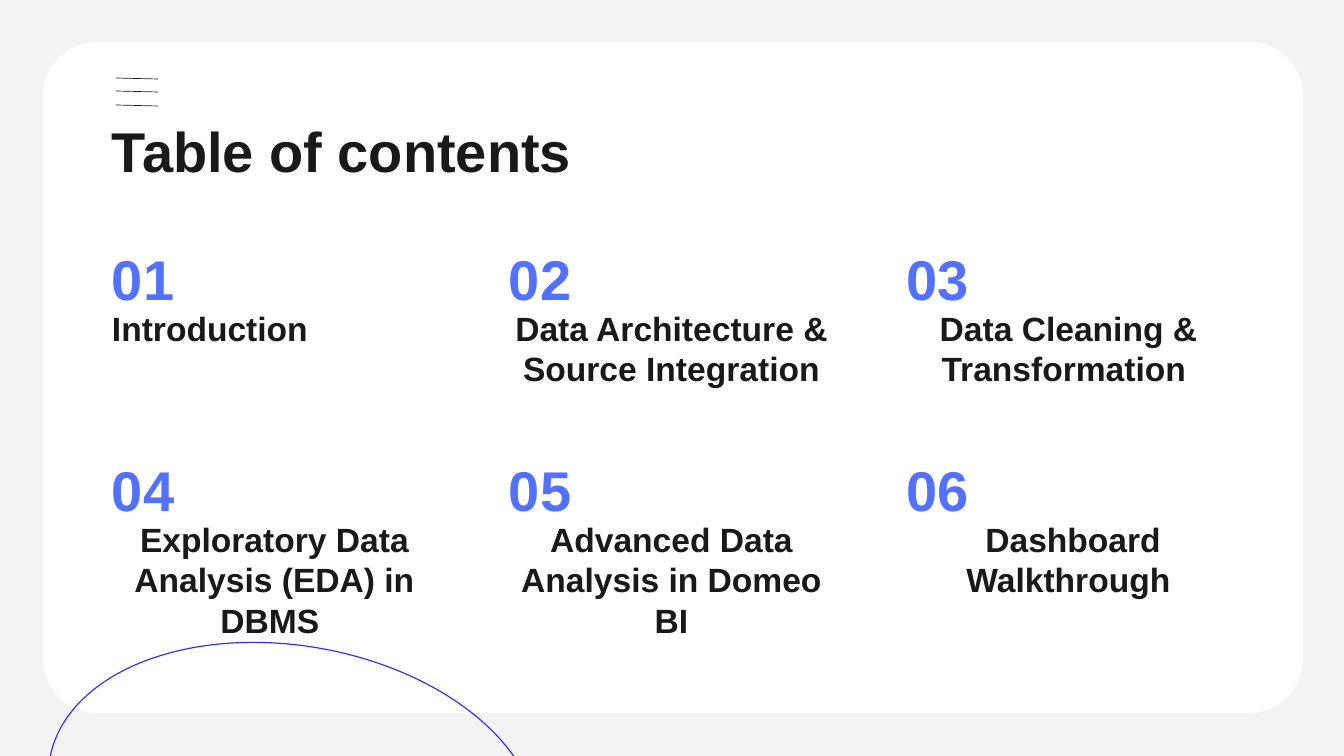
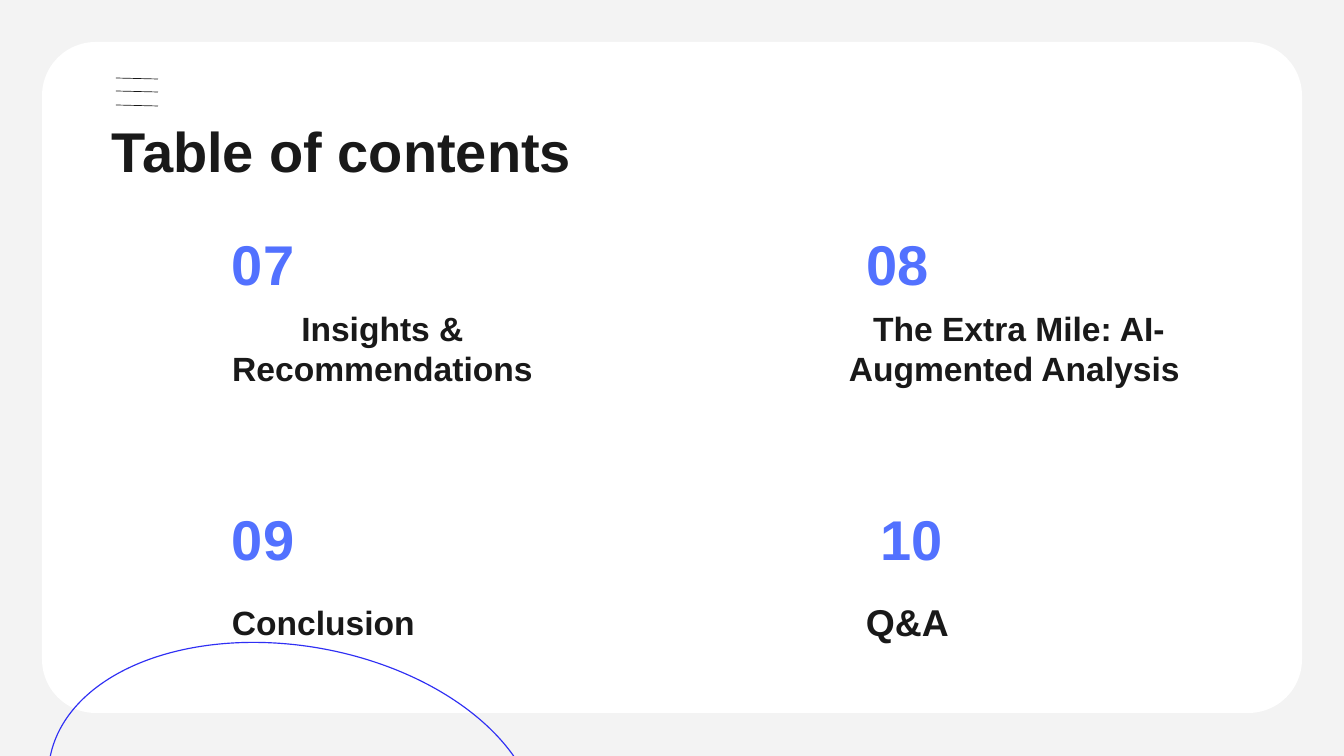
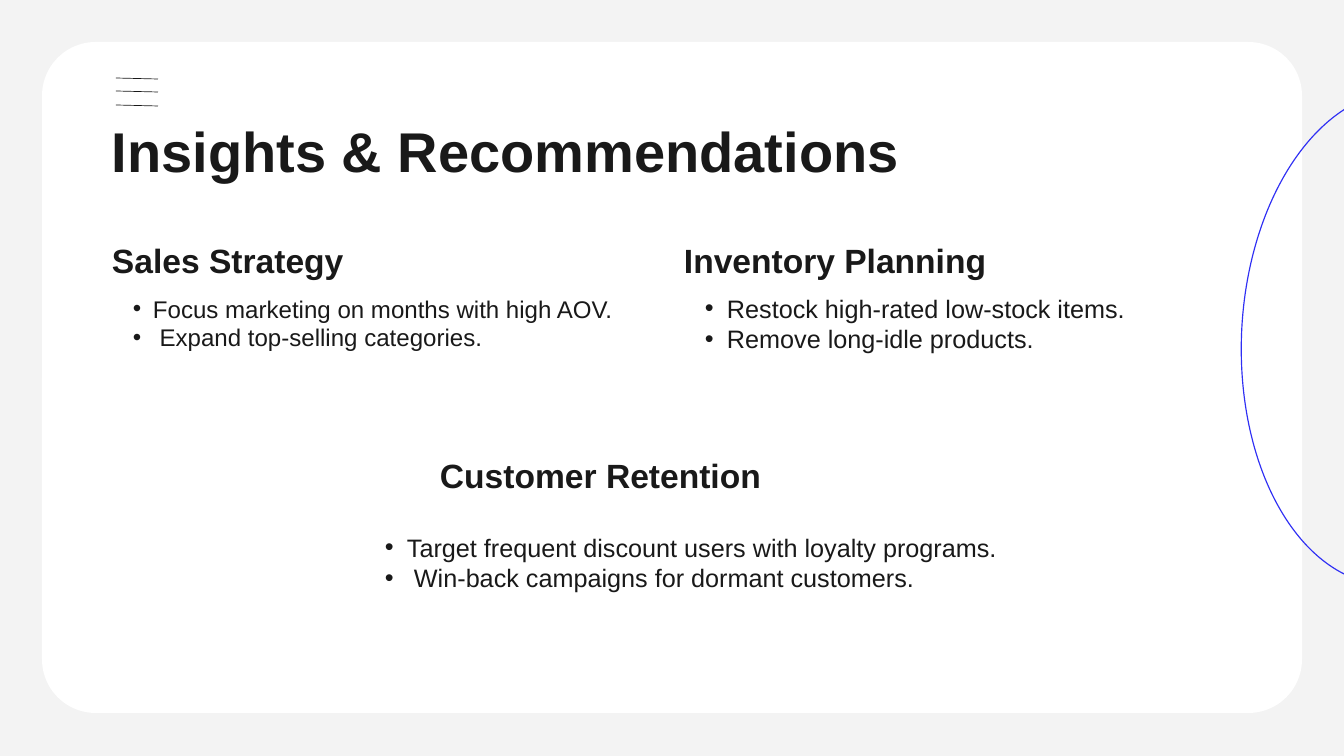
from lxml.etree import SubElement
from pptx import Presentation
from pptx.dml.color import RGBColor
from pptx.enum.shapes import MSO_CONNECTOR, MSO_SHAPE
from pptx.enum.text import MSO_ANCHOR, MSO_AUTO_SIZE, PP_ALIGN
from pptx.oxml.ns import qn
from pptx.util import Emu, Pt

PAPER = RGBColor(0xF3, 0xF3, 0xF3)
WHITE = RGBColor(0xFF, 0xFF, 0xFF)
INK = RGBColor(0x19, 0x19, 0x19)
NUMBER_BLUE = RGBColor(0x52, 0x71, 0xFF)
RING_BLUE = RGBColor(0x2F, 0x2F, 0xF4)

FONT = "Arial"
LINE_RATIO = 1.2
FRAME = {
    "margin_left": 0, "margin_top": 0, "margin_right": 0, "margin_bottom": 0,
    "word_wrap": True, "auto_size": MSO_AUTO_SIZE.NONE,
    "vertical_anchor": MSO_ANCHOR.TOP,
}
LEFT, CENTER = PP_ALIGN.LEFT, PP_ALIGN.CENTER

# Ring outline: left, top, rotation of an oval of fixed size
RING_BELOW = (46, 646, 10.1)
RING_RIGHT = (1150, 182, 92.7)


def px(length):
    return Emu(round(length * 914400 / 67.2))


def set_all(target, values):
    for name, value in values.items():
        setattr(target, name, value)


def write(frame, lines, size, bold=True, color=INK, align=LEFT):
    """Fill a text frame with one paragraph per line."""
    set_all(frame, FRAME)
    for index, line in enumerate(lines):
        para = frame.add_paragraph() if index else frame.paragraphs[0]
        set_all(para, {"alignment": align, "line_spacing": Pt(size * LINE_RATIO),
                       "space_before": Pt(0)})
        span = para.add_run()
        span.text = line
        set_all(span.font, {"name": FONT, "size": Pt(size), "bold": bold})
        span.font.color.rgb = color


def add_text(page, left, top, width, height, lines, size, **style):
    box = page.shapes.add_textbox(px(left), px(top), px(width), px(height))
    write(box.text_frame, lines, size, **style)
    return box


def add_bullets(page, left, top, width, lines, size, margin, hanging):
    box = add_text(page, left, top, width, 62, lines, size, bold=False)
    for para in box.text_frame.paragraphs:
        para.level = 1
        properties = para._p.get_or_add_pPr()
        properties.set("marL", str(px(margin)))
        properties.set("indent", str(-px(hanging)))
        SubElement(properties, qn("a:buFont"), typeface=FONT)
        SubElement(properties, qn("a:buChar"), char="•")


def add_number(page, left, top, number):
    add_text(page, left, top, 95, 69, [f"{number:02d}"], 60, color=NUMBER_BLUE)


def add_card(page, left):
    card = page.shapes.add_shape(MSO_SHAPE.ROUNDED_RECTANGLE,
                                 px(left), px(42), px(1260), px(671))
    card.adjustments[0] = 0.08
    card.shadow.inherit = False
    card.fill.solid()
    card.fill.fore_color.rgb = WHITE
    card.line.fill.background()


def add_ring(page, left, top, rotation):
    ring = page.shapes.add_shape(MSO_SHAPE.OVAL, px(left), px(top), px(495), px(312))
    ring.rotation = rotation
    ring.shadow.inherit = False
    ring.fill.background()
    ring.line.color.rgb = RING_BLUE
    ring.line.width = Pt(1.25)


def add_menu_icon(page):
    for top in (78, 91, 105):
        bar = page.shapes.add_connector(MSO_CONNECTOR.STRAIGHT,
                                        px(116), px(top), px(158), px(top + 1))
        bar.line.color.rgb = INK
        bar.line.width = Pt(0.75)
        SubElement(bar._element.spPr, qn("a:effectLst"))


def add_page(deck, title, ring, card_left=42):
    """Start a slide with the card, ring, menu icon and title."""
    page = deck.slides.add_slide(deck.slide_layouts[5])
    add_card(page, card_left)
    add_ring(page, *ring)
    add_menu_icon(page)
    heading = page.shapes.title
    page.shapes._spTree.append(heading._element)  # bring in front of the card
    set_all(heading, {"left": px(112), "top": px(117),
                      "width": px(1119), "height": px(73)})
    write(heading.text_frame, [title], 60)
    return page


def build_contents_grid(deck):
    page = add_page(deck, "Table of contents", RING_BELOW, card_left=43)
    topics = [
        ("Introduction", LEFT),
        ("Data Architecture & Source Integration", CENTER),
        ("Data Cleaning & Transformation ", CENTER),
        ("Exploratory Data Analysis (EDA) in DBMS ", CENTER),
        ("Advanced Data Analysis in Domeo BI", CENTER),
        (" Dashboard Walkthrough", CENTER),
    ]
    for index, (topic, align) in enumerate(topics):
        row, column = divmod(index, 3)
        left, top = 112 + 397 * column, 245 + 211 * row
        add_number(page, left, top, index + 1)
        add_text(page, left, top + 63, 325, 122, [topic], 36, align=align)


def build_contents_end(deck):
    page = add_page(deck, "Table of contents", RING_BELOW)
    for number, left, top in [(7, 232, 230), (8, 866, 230), (9, 232, 505), (10, 880, 505)]:
        add_number(page, left, top, number)
    for topic, left, top, width, size, align in [
        ("Insights & Recommendations", 220, 308, 325, 36, CENTER),
        ("The Extra Mile: AI-Augmented Analysis ", 827, 308, 384, 36, CENTER),
        ("Conclusion", 232, 602, 325, 36, LEFT),
        ("Q&A", 866, 599, 325, 40, LEFT),
    ]:
        add_text(page, left, top, width, 82, [topic], size, align=align)


def build_insights(deck):
    page = add_page(deck, "Insights & Recommendations", RING_RIGHT)
    for heading, left, top in [
        ("Sales Strategy", 112, 240),
        ("Inventory Planning", 684, 240),
        ("Customer Retention", 440, 455),
    ]:
        add_text(page, left, top, 513, 42, [heading], 36)
    add_bullets(page, 112, 294, 513,
                ["Focus marketing on months with high AOV.",
                 " Expand top-selling categories."], 25.8, 41, 20)
    add_bullets(page, 684, 293, 513,
                ["Restock high-rated low-stock items.",
                 "Remove long-idle products."], 27, 43, 22)
    add_bullets(page, 364, 532, 665,
                ["Target frequent discount users with loyalty programs.",
                 " Win-back campaigns for dormant customers."], 27, 43, 22)


def main():
    deck = Presentation()
    deck.slide_width, deck.slide_height = px(1344), px(756)
    backdrop = deck.slide_master.background.fill
    backdrop.solid()
    backdrop.fore_color.rgb = PAPER
    build_contents_grid(deck)
    build_contents_end(deck)
    build_insights(deck)
    deck.save("out.pptx")


if __name__ == "__main__":
    main()
